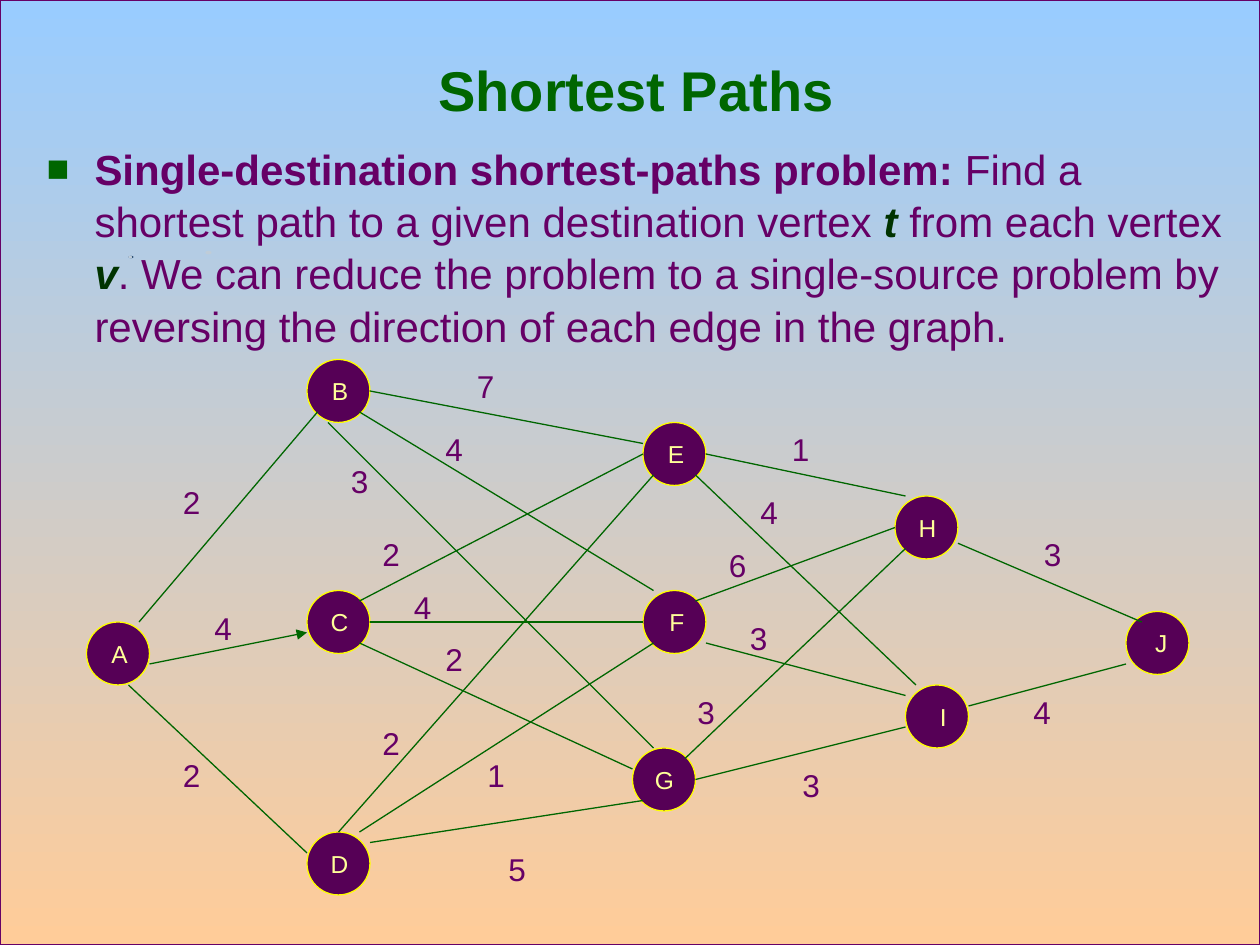
import math
from dataclasses import dataclass

import lxml.etree
import pptx
import pptx.dml.color
import pptx.enum.shapes
import pptx.enum.text
import pptx.oxml.ns
import pptx.util

Inches, Pt = pptx.util.Inches, pptx.util.Pt
ALIGN, ANCHOR = pptx.enum.text.PP_ALIGN, pptx.enum.text.MSO_ANCHOR
SHAPE = pptx.enum.shapes.MSO_SHAPE


@dataclass(frozen=True)
class Theme:
    font: str = "Arial"
    sky: str = "99CCFF"
    sand: str = "FFCC99"
    green: str = "006600"
    dark_green: str = "003300"
    purple: str = "660066"
    node: str = "560056"
    node_line: str = "FFFF00"
    node_text: str = "FFFF99"
    title_size: int = 32
    body_size: int = 24
    weight_size: int = 18
    node_size: int = 14
    line_width: float = 0.75
    line_spacing: float = 1.04


THEME = Theme()
WIDTH, HEIGHT = 10, 7.5

# The graph stands on a grid of twelve cells to the inch
CELLS_PER_INCH = 12
GRID_ORIGIN = 0.02
NODE_CELLS = 6
WEIGHT_CELLS = (4, 5)

# Top left cell of each vertex
NODES = {
    "A": (8, 59), "B": (29, 34), "C": (29, 56), "D": (29, 79), "E": (61, 40),
    "F": (61, 56), "G": (60, 71), "H": (85, 47), "I": (86, 65), "J": (107, 58),
}

# Start cell, end cell, weight, cell of the weight
EDGES = [
    ((13, 59), (30, 39), "2", (16, 45)),  # A-B
    ((14, 63), (29, 60), "4", (19, 57)),  # A-C
    ((12, 65), (29, 81), "2", (16, 71)),  # A-D
    ((35, 37), (61, 42), "7", (44, 34)),  # B-E
    ((62, 56), (34, 39), "4", (41, 40)),  # B-F
    ((62, 71), (31, 40), "3", (32, 43)),  # B-G
    ((61, 43), (34, 57), "2", (35, 50)),  # C-E
    ((35, 59), (61, 59), "4", (38, 55)),  # C-F
    ((34, 61), (60, 73), "2", (41, 60)),  # C-G
    ((32, 79), (62, 45), "2", (35, 68)),  # D-E
    ((62, 61), (34, 79), "1", (45, 71)),  # D-F
    ((35, 80), (61, 76), "5", (47, 80)),  # D-G
    ((67, 43), (86, 47), "1", (74, 40)),  # E-H
    ((87, 65), (66, 45), "4", (71, 46)),  # E-I
    ((85, 50), (66, 57), "6", (68, 51)),  # F-H
    ((67, 61), (86, 66), "3", (70, 58)),  # F-I
    ((86, 52), (65, 72), "3", (65, 65)),  # G-H
    ((86, 69), (66, 74), "3", (75, 72)),  # G-I
    ((91, 51.5), (108.5, 59), "3", (98, 50)),  # H-J
    ((107, 63), (92, 67), "4", (97, 65)),  # I-J
]
DIRECTED_EDGE = 1  # only A-C carries an arrowhead

# Small specks on the background: left, top, width, height, colour
SPECKS = [
    (1.02, 2.03, 0.04, 0.02, "284C70"),
    (1.02, 2.03, 0.03, 0.02, "BFCCD8"),
    (1.63, 1.99, 0.05, 0.03, "BFCCD8"),
]


def color(value):
    return pptx.dml.color.RGBColor.from_string(value)


def grid(*cells):
    return [Inches(GRID_ORIGIN + cell / CELLS_PER_INCH) for cell in cells]


def span(cells):
    return Inches(cells / CELLS_PER_INCH)


def add_child(parent, tag, **attributes):
    child = lxml.etree.SubElement(parent, pptx.oxml.ns.qn(tag))
    for name, value in attributes.items():
        child.set(name, value)
    return child


def add_run(paragraph, text, size, ink, bold=False, italic=False):
    run = paragraph.add_run()
    run.text = text
    font = run.font
    font.name, font.size, font.bold, font.italic = THEME.font, Pt(size), bold, italic
    font.color.rgb = color(ink)


def hang(paragraph, indent):
    properties = paragraph._p.get_or_add_pPr()
    properties.set("marL", str(Inches(indent)))
    properties.set("indent", str(-Inches(indent)))
    return properties


def outline(shape, ink):
    shape.line.color.rgb = color(ink)
    shape.line.width = Pt(THEME.line_width)


def place(shape, left, top, width, height):
    shape.left, shape.top = Inches(left), Inches(top)
    shape.width, shape.height = Inches(width), Inches(height)


def add_backdrop(slide):
    backdrop = slide.shapes.add_shape(SHAPE.RECTANGLE, 0, 0, Inches(WIDTH), Inches(HEIGHT))
    backdrop.shadow.inherit = False
    backdrop.fill.gradient()
    backdrop.fill.gradient_angle = 270
    for stop, ink in zip(backdrop.fill.gradient_stops, (THEME.sky, THEME.sand)):
        stop.color.rgb = color(ink)
    outline(backdrop, THEME.purple)
    # Behind the placeholders
    slide.shapes.element.insert(2, backdrop.element)


def add_speck(slide, left, top, width, height, ink):
    points = [(Inches(left + width * (1 + math.cos(turn * math.pi / 4)) / 2),
               Inches(top + height * (1 + math.sin(turn * math.pi / 4)) / 2))
              for turn in range(8)]
    builder = slide.shapes.build_freeform(*points[0])
    builder.add_line_segments(points[1:], close=True)
    speck = builder.convert_to_shape()
    speck.shadow.inherit = False
    speck.fill.solid()
    speck.fill.fore_color.rgb = color(ink)
    speck.line.fill.background()


def fill_title(title):
    place(title, 0.8, 0.5, 8.5, 0.92)
    frame = title.text_frame
    frame.auto_size = pptx.enum.text.MSO_AUTO_SIZE.NONE
    frame.vertical_anchor = ANCHOR.MIDDLE
    # The bottom inset lifts the line to the upper half of the box
    frame.margin_top, frame.margin_bottom = 0, Inches(0.51)
    paragraph = frame.paragraphs[0]
    paragraph.alignment = ALIGN.CENTER
    add_run(paragraph, "Shortest Paths", THEME.title_size, THEME.green, bold=True)


def fill_body(body):
    place(body, 0.27, 1.07, 9.54, 1.82)
    frame = body.text_frame
    frame.auto_size = pptx.enum.text.MSO_AUTO_SIZE.NONE
    paragraph = frame.paragraphs[0]
    paragraph.line_spacing = THEME.line_spacing
    paragraph.space_before = Pt(6)
    properties = hang(paragraph, 0.38)
    add_child(add_child(properties, "a:buClr"), "a:srgbClr", val=THEME.green)
    add_child(properties, "a:buSzPct", val="90000")
    add_child(properties, "a:buFont", typeface=THEME.font)
    add_child(properties, "a:buChar", char="■")

    def plain(text, bold=False):
        add_run(paragraph, text, THEME.body_size, THEME.purple, bold)

    def vertex(text):
        add_run(paragraph, text, THEME.body_size, THEME.dark_green, bold=True, italic=True)

    plain("Single-destination shortest-paths problem: ", bold=True)
    plain("Find a shortest path to a given destination vertex ")
    vertex("t")
    plain(" from each vertex ")
    vertex("v")
    plain(". We can reduce the problem to a single-source problem by "
          "reversing the direction of each edge in the graph.")


def add_node(slide, name, cell):
    node = slide.shapes.add_shape(SHAPE.OVAL, *grid(*cell), span(NODE_CELLS), span(NODE_CELLS))
    node.shadow.inherit = False
    node.fill.solid()
    node.fill.fore_color.rgb = color(THEME.node)
    outline(node, THEME.node_line)
    frame = node.text_frame
    frame.word_wrap = False
    frame.vertical_anchor = ANCHOR.MIDDLE
    paragraph = frame.paragraphs[0]
    paragraph.alignment = ALIGN.RIGHT
    paragraph.space_before = Pt(3.5)
    hang(paragraph, 0.31)
    add_run(paragraph, name, THEME.node_size, THEME.node_text)


def add_edge(slide, start, end, directed):
    edge = slide.shapes.add_connector(
        pptx.enum.shapes.MSO_CONNECTOR.STRAIGHT, *grid(*start), *grid(*end))
    outline(edge, THEME.green)
    if directed:
        add_child(edge.line._get_or_add_ln(), "a:tailEnd", type="triangle")
    add_child(edge.element.spPr, "a:effectLst")


def add_weight(slide, text, cell):
    box = slide.shapes.add_textbox(*grid(*cell), *map(span, WEIGHT_CELLS))
    box.text_frame.word_wrap = True
    paragraph = box.text_frame.paragraphs[0]
    paragraph.line_spacing = THEME.line_spacing
    paragraph.space_before = Pt(4.5)
    hang(paragraph, 0.38)
    add_run(paragraph, text, THEME.weight_size, THEME.purple)


def main():
    presentation = pptx.Presentation()
    presentation.slide_width, presentation.slide_height = Inches(WIDTH), Inches(HEIGHT)
    slide = presentation.slides.add_slide(presentation.slide_layouts[1])

    # Background and text
    add_backdrop(slide)
    for speck in SPECKS:
        add_speck(slide, *speck)
    fill_title(slide.shapes.title)
    fill_body(slide.placeholders[1])

    # Weighted graph
    for name, cell in NODES.items():
        add_node(slide, name, cell)
    for index, (start, end, weight, cell) in enumerate(EDGES):
        add_edge(slide, start, end, index == DIRECTED_EDGE)
        add_weight(slide, weight, cell)

    presentation.save("out.pptx")


if __name__ == "__main__":
    main()
